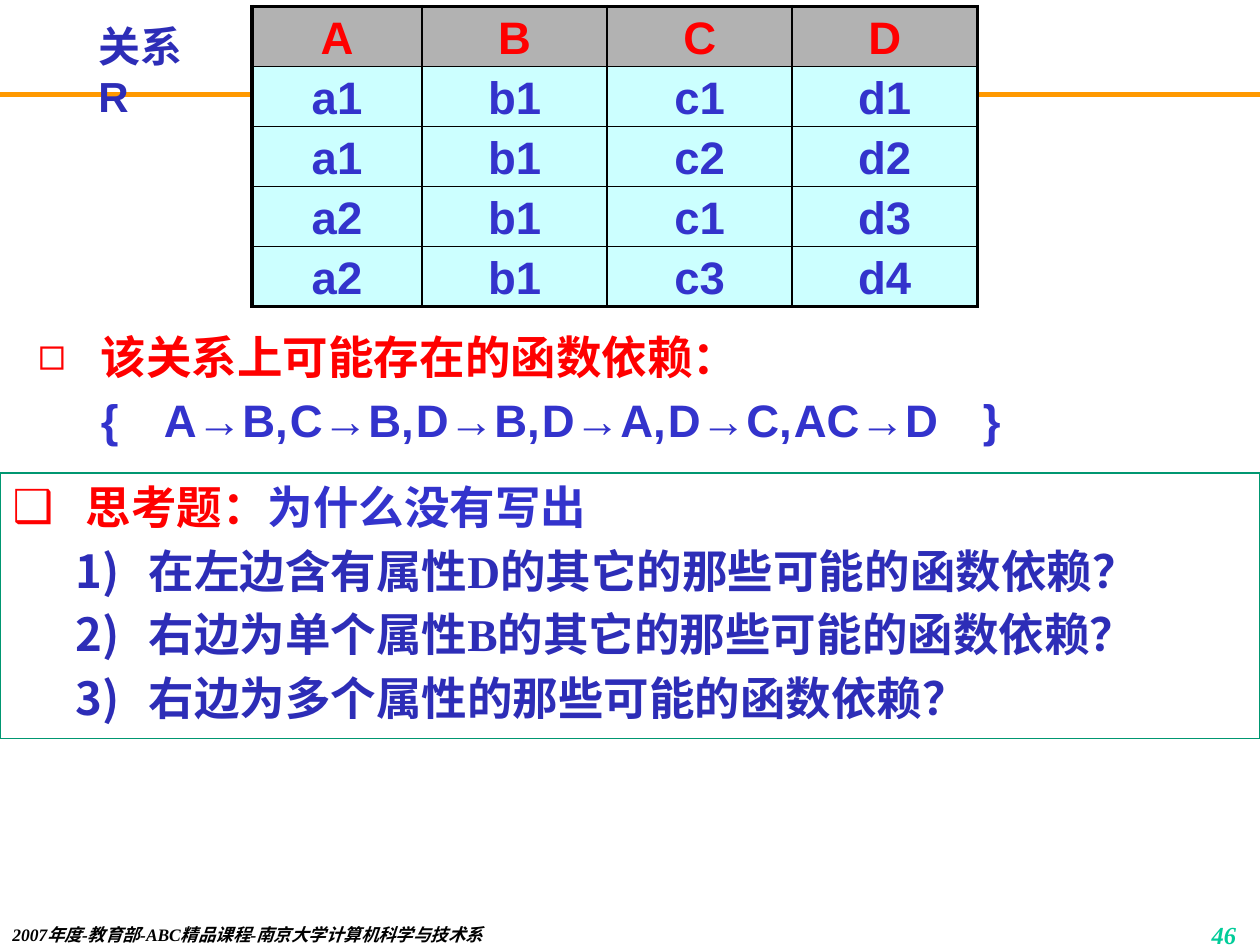
from lxml import etree
from pptx import Presentation
from pptx.dml.color import RGBColor
from pptx.enum.shapes import MSO_CONNECTOR
from pptx.enum.text import MSO_ANCHOR, MSO_AUTO_SIZE, PP_ALIGN
from pptx.oxml.ns import qn
from pptx.util import Cm, Pt

LEFT, MID, RIGHT = PP_ALIGN.LEFT, PP_ALIGN.CENTER, PP_ALIGN.RIGHT
TOP, CENTER = MSO_ANCHOR.TOP, MSO_ANCHOR.MIDDLE
FIXED = MSO_AUTO_SIZE.NONE
LINE = MSO_CONNECTOR.STRAIGHT

HEX = {
    "red": "FF0000", "blue": "3333CC", "navy": "2D2DB7", "black": "000000",
    "gray": "B2B2B2", "aqua": "CCFFFF", "teal": "009771", "mint": "00CC99",
    "gold": "FF9900",
}
SANS, SERIF = "Arial", "Times New Roman"
ROWS = [
    ["A", "B", "C", "D"],
    ["a1", "b1", "c1", "d1"],
    ["a1", "b1", "c2", "d2"],
    ["a2", "b1", "c1", "d3"],
    ["a2", "b1", "c3", "d4"],
]
DEPS = ["{", "A→B,", "C→B,", "D→B,", "D→A,", "D→C,", "AC→D", "}"]
STOPS = [2.11 + 3 * i for i in range(6)] + [20.5]
ASKS = [
    "在左边含有属性D的其它的那些可能的函数依赖？",
    "右边为单个属性B的其它的那些可能的函数依赖？",
    "右边为多个属性的那些可能的函数依赖？",
]


def color(name):
    return RGBColor.from_string(HEX[name])


class Page:
    def __init__(self, slide):
        self.slide = slide
        self.shapes = slide.shapes

    def apply(self, item, **values):
        for name, value in values.items():
            setattr(item, name, value)

    def place(self, shape, left, top, width, height, **frame):
        self.apply(shape, left=Cm(left), top=Cm(top),
                   width=Cm(width), height=Cm(height))
        base = {"word_wrap": True, "auto_size": FIXED, "vertical_anchor": TOP}
        self.apply(shape.text_frame, **{**base, **frame})
        return shape

    def para(self, frame, runs, font, first=False, align=LEFT, level=0,
             margin=0, indent=0, bullet=None, tabs=()):
        """Write one paragraph; runs are (text, colour) pairs."""
        par = frame.paragraphs[0] if first else frame.add_paragraph()
        props = par._p.get_or_add_pPr()
        props.set("marL", str(Cm(margin)))
        props.set("indent", str(Cm(indent)))
        tag, attrs = bullet or ("buNone", {})
        etree.SubElement(props, qn("a:" + tag), attrs)
        if tabs:
            stops = etree.SubElement(props, qn("a:tabLst"))
            for pos in tabs:
                etree.SubElement(stops, qn("a:tab"), pos=str(Cm(pos)), algn="l")
        self.apply(par, alignment=align, level=level,
                   space_before=Pt(0 if first else 5.2))
        for text, tint in runs:
            run = par.add_run()
            run.text = text
            self.apply(run.font, **font)
            run.font.color.rgb = color(tint)
        return par

    def rule(self, top, width, tint):
        """Draw a line across the page, behind everything else."""
        line = self.shapes.add_connector(LINE, 0, Cm(top), Cm(25.4), Cm(top))
        line.line.color.rgb = color(tint)
        line.line.width = Pt(width)
        etree.SubElement(line.element.spPr, qn("a:effectLst"))
        line.element.getparent().insert(2, line.element)

    def note(self, text, spot, font, tint, align=LEFT, **frame):
        box = self.place(self.shapes.add_textbox(0, 0, 0, 0), *spot, **frame)
        self.para(box.text_frame, [(text, tint)], font, first=True, align=align)

    def border(self, cell, widths):
        props = cell._tc.get_or_add_tcPr()
        for side, width in widths.items():
            edge = etree.SubElement(props, qn("a:ln" + side), w=str(Pt(width)))
            fill = etree.SubElement(edge, qn("a:solidFill"))
            etree.SubElement(fill, qn("a:srgbClr"), val=HEX["black"])

    def grid(self, rows, left, top, widths, height, font):
        count, last = len(rows), len(widths) - 1
        table = self.shapes.add_table(
            count, len(widths), Cm(left), Cm(top),
            Cm(sum(widths)), Cm(height * count)).table
        self.apply(table, first_row=False, horz_banding=False)
        for col, width in zip(table.columns, widths):
            col.width = Cm(width)
        for r, row in enumerate(rows):
            table.rows[r].height = Cm(height)
            for c, text in enumerate(row):
                cell = table.cell(r, c)
                outer = {"L": c == 0, "R": c == last,
                         "T": r == 0, "B": r == count - 1}
                self.border(cell, {k: 2.25 if v else 1 for k, v in outer.items()})
                cell.fill.solid()
                cell.fill.fore_color.rgb = color("aqua" if r else "gray")
                self.apply(cell, margin_top=0, margin_bottom=0,
                           vertical_anchor=CENTER)
                par = self.para(cell.text_frame, [(text, "blue" if r else "red")],
                                font, first=True, align=MID)
                par.line_spacing = 1.1


def main():
    deck = Presentation()
    deck.slide_width, deck.slide_height = Cm(25.4), Cm(19.05)
    page = Page(deck.slides.add_slide(deck.slide_layouts[3]))
    title, body, quiz = page.slide.placeholders
    sans = {"name": SANS, "size": Pt(26), "bold": True}
    serif = {**sans, "name": SERIF}
    small = {**serif, "size": Pt(10), "italic": True}

    page.rule(1.9, 3, "gold")
    page.place(title, 1.73, 0.28, 3.18, 1.27, margin_right=Cm(0.65))
    page.para(title.text_frame, [("关系 R", "navy")],
              {**sans, "size": Pt(24)}, first=True)
    page.grid(ROWS, 5.08, 0.13, [3.43, 3.73, 3.73, 3.73], 1.21, sans)

    frame = page.place(body, 0.51, 6.5, 24.08, 2.69).text_frame
    page.para(frame, [("该关系上可能存在的函数依赖：", "red")], sans, first=True,
              margin=1.27, indent=-1.27, bullet=("buChar", {"char": "◻"}))
    page.para(frame, [("\t".join(DEPS), "blue")], sans, level=1,
              indent=1.27, tabs=STOPS)

    frame = page.place(quiz, 0, 9.53, 25.4, 5.36).text_frame
    quiz.line.color.rgb = color("teal")
    quiz.line.width = Pt(1)
    page.para(frame, [("思考题：", "red"), ("为什么没有写出", "blue")], serif,
              first=True, margin=1.47, indent=-1.47,
              bullet=("buChar", {"char": "❑"}))
    for ask in ASKS:
        page.para(frame, [(ask, "navy")], serif, level=1, margin=2.74,
                  indent=-1.47, bullet=("buAutoNum", {"type": "arabicParenR"}))

    page.note("2007年度-教育部-ABC精品课程-南京大学计算机科学与技术系",
              (0, 18.62, 13.97, 0.43), small, "black",
              margin_top=0, margin_bottom=0, vertical_anchor=CENTER)
    page.note("46", (19.89, 18.42, 5.28, 0.64), {**small, "size": Pt(14)},
              "mint", align=RIGHT)
    deck.save("out.pptx")


if __name__ == "__main__":
    main()
